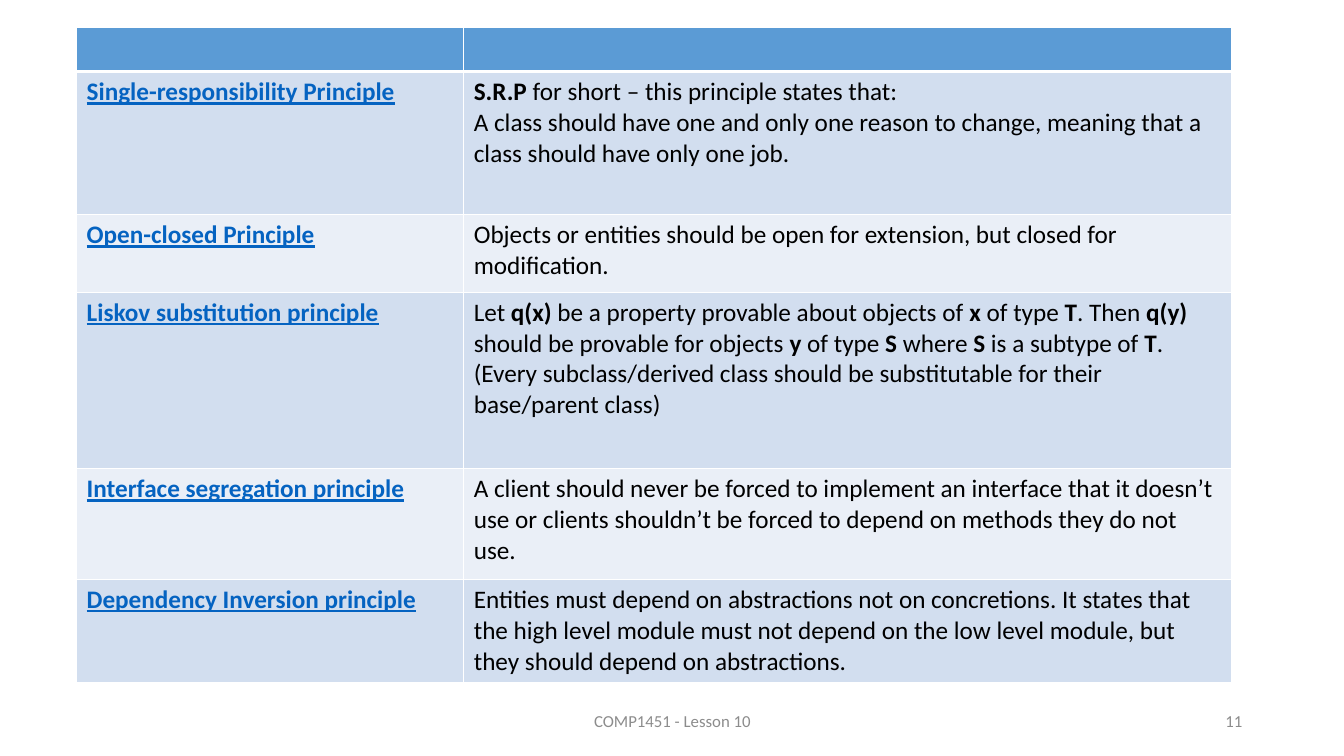
from dataclasses import dataclass

from lxml import etree
from pptx import Presentation
from pptx.dml.color import RGBColor
from pptx.enum import text as t
from pptx.oxml import ns
from pptx.util import Inches, Pt

HUES = {
    "head": "5B9BD5",
    "dark": "D2DEEF",
    "light": "EAEFF7",
    "rule": "FFFFFF",
    "link": "0563C1",
    "body": "000000",
    "foot": "8C8C8C",
}
FONT = "Calibri"
LINK = {"size": Pt(18), "name": FONT, "bold": True, "underline": True}
BODY = {"size": Pt(18), "name": FONT, "bold": False}
FOOT = {"size": Pt(12), "name": FONT}


@dataclass
class Rule:
    name: str
    lines: list[str]
    high: float


@dataclass
class Note:
    words: str
    left: float
    wide: float
    align: t.PP_ALIGN


RULES = [
    Rule("Single-responsibility Principle", [
        "**S.R.P** for short – this principle states that:",
        "A class should have one and only one reason to change, meaning that "
        "a class should have only one job.",
    ], 1.42),
    Rule("Open-closed Principle", [
        "Objects or entities should be open for extension, but closed for "
        "modification.",
    ], 0.77),
    Rule("Liskov substitution principle", [
        "Let **q(x)** be a property provable about objects of **x** of type "
        "**T**. Then **q(y)** should be provable for objects **y** of type "
        "**S** where **S** is a subtype of **T**. (Every subclass/derived "
        "class should be substitutable for their base/parent class)",
    ], 1.75),
    Rule("Interface segregation principle", [
        "A client should never be forced to implement an interface that it "
        "doesn’t use or clients shouldn’t be forced to depend on methods "
        "they do not use.",
    ], 1.1),
    Rule("Dependency Inversion principle", [
        "Entities must depend on abstractions not on concretions. It states "
        "that the high level module must not depend on the low level module, "
        "but they should depend on abstractions.",
    ], 1.02),
]
NOTES = [
    Note("COMP1451 - Lesson 10", 4.42, 4.5, t.PP_ALIGN.CENTER),
    Note("11", 9.42, 3, t.PP_ALIGN.RIGHT),
]
HEAD = 0.44
COLS = [3.84, 7.62]


def add_run(para, words: str, hue: str, form: dict) -> None:
    run = para.add_run()
    run.text = words
    for key, value in form.items():
        setattr(run.font, key, value)
    run.font.color.rgb = RGBColor.from_string(HUES[hue])


def add_line(para, line: str) -> None:
    for i, part in enumerate(line.split("**")):
        if part:
            add_run(para, part, "body", BODY | {"bold": i % 2 == 1})


def paint(cell, hue: str, top: int, base: int) -> None:
    cell.fill.solid()
    cell.fill.fore_color.rgb = RGBColor.from_string(HUES[hue])
    props = cell._tc.get_or_add_tcPr()
    for i, (side, thick) in enumerate(zip("LRTB", (1, 1, top, base))):
        edge = etree.Element(ns.qn(f"a:ln{side}"), w=str(Pt(thick)))
        fill = etree.SubElement(edge, ns.qn("a:solidFill"))
        etree.SubElement(fill, ns.qn("a:srgbClr"), val=HUES["rule"])
        props.insert(i, edge)


def add_grid(slide) -> None:
    highs = [HEAD] + [rule.high for rule in RULES]
    grid = slide.shapes.add_table(
        len(highs), len(COLS), Inches(0.76), Inches(0.27),
        Inches(sum(COLS)), Inches(sum(highs))).table
    for col, wide in zip(grid.columns, COLS):
        col.width = Inches(wide)
    for i, (row, high) in enumerate(zip(grid.rows, highs)):
        row.height = Inches(high)
        hue = "head" if i == 0 else "dark" if i % 2 else "light"
        for cell in row.cells:
            paint(cell, hue, 3 if i == 1 else 1, 3 if i == 0 else 1)
    for i, rule in enumerate(RULES, 1):
        add_run(grid.cell(i, 0).text_frame.paragraphs[0],
                rule.name, "link", LINK)
        frame = grid.cell(i, 1).text_frame
        for j, line in enumerate(rule.lines):
            para = frame.add_paragraph() if j else frame.paragraphs[0]
            add_line(para, line)


def add_note(slide, note: Note) -> None:
    frame = slide.shapes.add_textbox(
        Inches(note.left), Inches(6.95),
        Inches(note.wide), Inches(0.4)).text_frame
    frame.word_wrap = True
    frame.vertical_anchor = t.MSO_ANCHOR.MIDDLE
    para = frame.paragraphs[0]
    para.alignment = note.align
    add_run(para, note.words, "foot", FOOT)


def main() -> None:
    deck = Presentation()
    deck.slide_width = Inches(13.33)
    deck.slide_height = Inches(7.5)
    slide = deck.slides.add_slide(deck.slide_layouts[6])
    add_grid(slide)
    for note in NOTES:
        add_note(slide, note)
    deck.save("out.pptx")


main()
